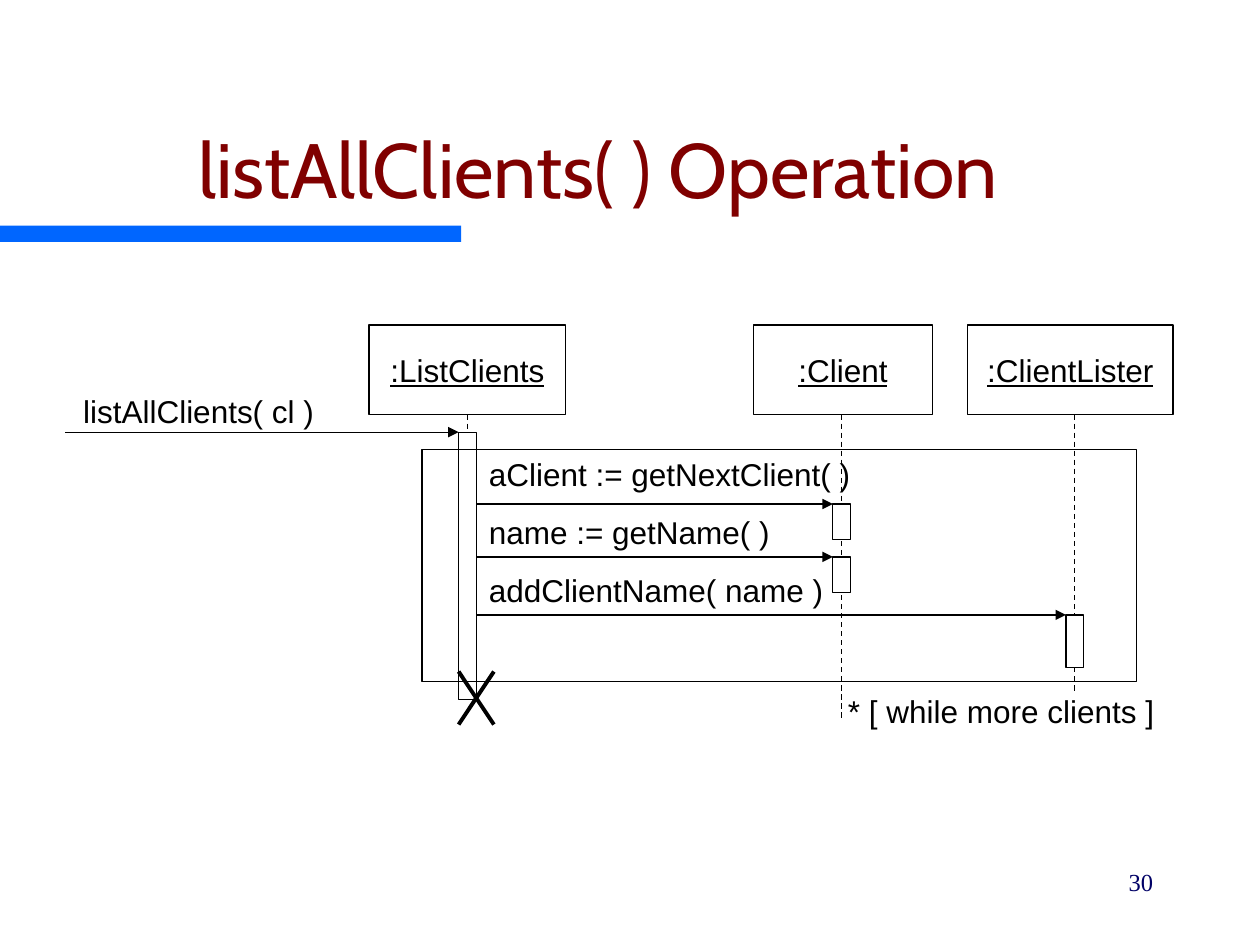
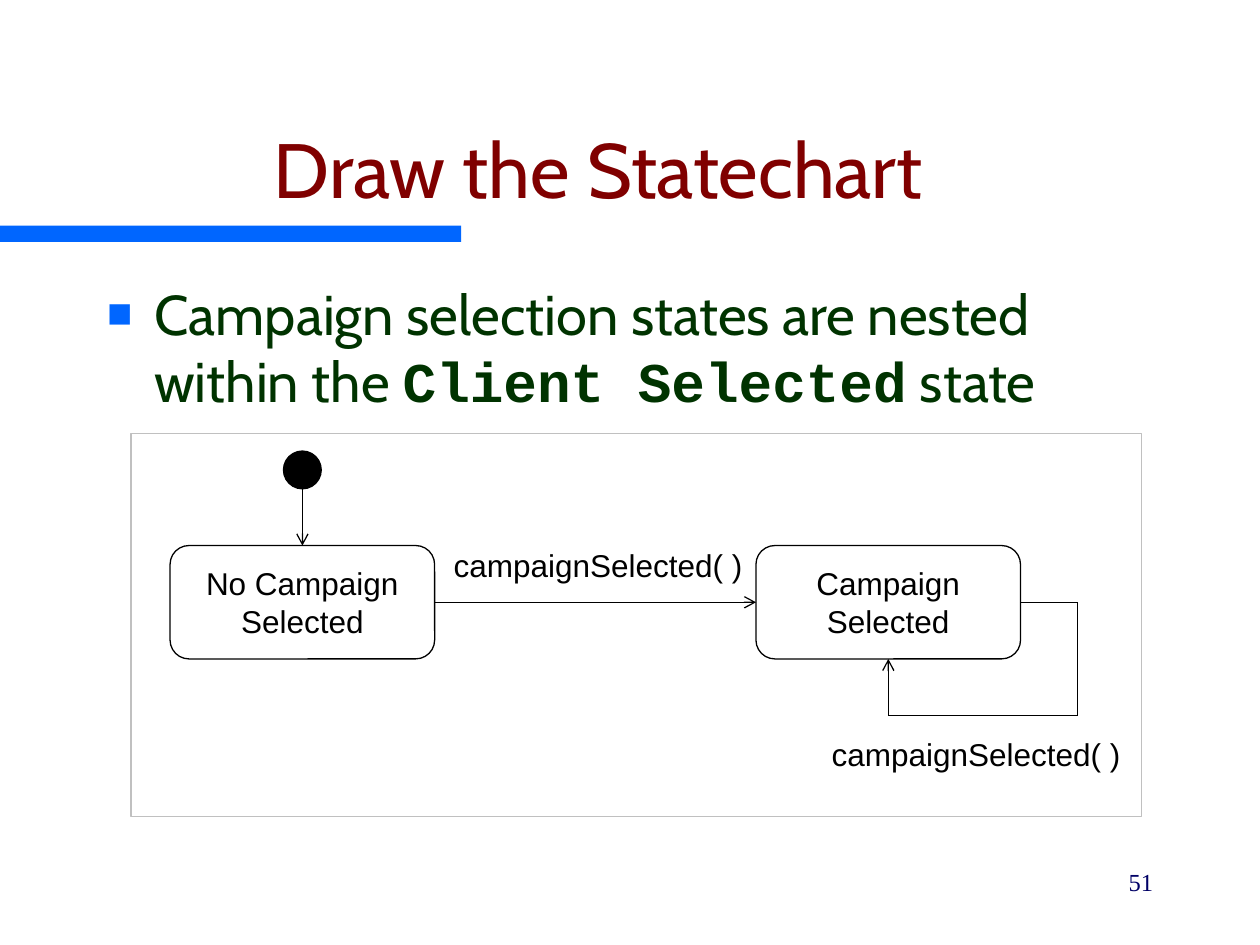
"""Build a sequence diagram slide and a statechart slide."""
from lxml import etree
from pptx import Presentation
from pptx import util as u
from pptx.dml.color import RGBColor
from pptx.enum import dml, shapes, text
from pptx.oxml.ns import qn

COLORS = {"title": "800000", "body": "003300", "accent": "0066FF", "number": "000066",
          "ink": "000000", "paper": "FFFFFF", "frame": "C0C0C0"}
RECT = shapes.MSO_SHAPE.RECTANGLE
ROUNDED = shapes.MSO_SHAPE.ROUNDED_RECTANGLE
CENTER = text.PP_ALIGN.CENTER


def add_box(page, kind, left, top, width, height, words="", fill=None, line="ink",
            underline=False):
    """Add a shape with centred text, or a tight label if kind is None."""
    place = [u.Inches(value) for value in (left, top, width, height)]
    if kind is None:
        box = page.shapes.add_textbox(*place)
    else:
        box = page.shapes.add_shape(kind, *place)
        box.shadow.inherit = False
        if line:
            box.line.color.rgb = RGBColor.from_string(COLORS[line])
            box.line.width = u.Pt(0.75)
        else:
            box.line.fill.background()
    if fill:
        box.fill.solid()
        box.fill.fore_color.rgb = RGBColor.from_string(COLORS[fill])
    else:
        box.fill.background()
    if words:
        frame = box.text_frame
        frame.word_wrap = False
        frame.text = words
        if kind is None:
            frame.auto_size = text.MSO_AUTO_SIZE.SHAPE_TO_FIT_TEXT
            frame.margin_left = frame.margin_right = frame.margin_top = frame.margin_bottom = 0
        else:
            frame.vertical_anchor = text.MSO_ANCHOR.MIDDLE
        for para in frame.paragraphs:
            para.alignment = text.PP_ALIGN.LEFT if kind is None else CENTER
            for span in para.runs:
                span.font.name = "Arial"
                span.font.size = u.Pt(18)
                span.font.underline = underline
                span.font.color.rgb = RGBColor.from_string(COLORS["ink"])
    return box


def add_line(page, start, end, arrow=None, dashed=False, weight=0.75):
    """Add a straight line, with an optional arrowhead at its end."""
    ends = [u.Inches(value) for value in (*start, *end)]
    link = page.shapes.add_connector(shapes.MSO_CONNECTOR.STRAIGHT, *ends)
    link.line.color.rgb = RGBColor.from_string(COLORS["ink"])
    link.line.width = u.Pt(weight)
    if dashed:
        link.line.dash_style = dml.MSO_LINE.DASH
    if arrow:
        etree.SubElement(link.line._get_or_add_ln(), qn("a:tailEnd"), type=arrow)
    etree.SubElement(link._element.spPr, qn("a:effectLst"))


deck = Presentation()
deck.slide_width = u.Inches(10)
deck.slide_height = u.Inches(7.5)

pages = []
for heading, number, layout in [("listAllClients( ) Operation", "30", 5),
                                ("Draw the Statechart", "51", 1)]:
    page = deck.slides.add_slide(deck.slide_layouts[layout])
    pages.append(page)
    add_box(page, RECT, 0, 1.79, 3.66, 0.13, fill="accent", line=None)

    title = page.shapes.title
    title.left, title.top = u.Inches(0.25), u.Inches(0.5)
    title.width, title.height = u.Inches(9), u.Inches(1.25)
    title.text_frame.text = heading
    title.text_frame.auto_size = text.MSO_AUTO_SIZE.NONE
    title.text_frame.vertical_anchor = text.MSO_ANCHOR.BOTTOM
    footer = page.shapes.add_textbox(u.Inches(7.17), u.Inches(6.83), u.Inches(2.08), u.Inches(0.5))
    footer.text_frame.word_wrap = True
    footer.text_frame.text = number
    for box, align, font, size, color in [
            (title, CENTER, "Cabin", 44, "title"),
            (footer, text.PP_ALIGN.RIGHT, "Times New Roman", 14, "number")]:
        para = box.text_frame.paragraphs[0]
        para.alignment = align
        span = para.runs[0]
        span.font.name = font
        span.font.size = u.Pt(size)
        span.font.color.rgb = RGBColor.from_string(COLORS[color])

sequence, statechart = pages

head_top, head_height = 2.58, 0.71
bar_width = 0.14
lister_x, client_x, view_x = 3.71, 6.68, 8.53
for name, x, left, width, life_end in [(":ListClients", lister_x, 2.93, 1.56, 4.97),
                                       (":Client", client_x, 5.98, 1.42, 5.7),
                                       (":ClientLister", view_x, 7.68, 1.63, 5.7)]:
    add_line(sequence, (x, head_top + head_height), (x, life_end), dashed=True)
    add_box(sequence, RECT, left, head_top, width, head_height, name, "paper", underline=True)

for x, top, height in [(lister_x, 3.43, 2.12), (client_x, 4, 0.28),
                       (client_x, 4.42, 0.28), (view_x, 4.88, 0.42)]:
    add_box(sequence, RECT, x - bar_width / 2, top, bar_width, height, fill="paper")

add_box(sequence, RECT, 3.35, 3.57, 5.67, 1.84)
for words, label_x, label_y, width, start_x, target_x, y in [
        ("listAllClients( cl )", 0.66, 3.11, 1.84, 0.52, lister_x, 3.43),
        ("aClient := getNextClient( )", 3.88, 3.61, 2.88, 3.78, client_x, 4),
        ("name := getName( )", 3.88, 4.07, 2.24, 3.78, client_x, 4.42),
        ("addClientName( name )", 3.88, 4.53, 2.66, 3.78, view_x, 4.88)]:
    add_line(sequence, (start_x, y), (target_x - bar_width / 2, y), "triangle")
    add_box(sequence, None, label_x, label_y, width, 0.3, words)
add_box(sequence, None, 6.73, 5.49, 2.44, 0.3, "* [ while more clients ]", "paper")

for start_x, end_x in [(3.64, 3.92), (3.92, 3.64)]:
    add_line(sequence, (start_x, 5.33), (end_x, 5.75), weight=2.25)

body = statechart.placeholders[1]
body.left, body.top = u.Inches(0.75), u.Inches(2.17)
body.width, body.height = u.Inches(8.5), u.Inches(4.5)
body.text_frame.auto_size = text.MSO_AUTO_SIZE.NONE
para = body.text_frame.paragraphs[0]
para.space_before = u.Pt(0)
bullet = para._p.get_or_add_pPr()
bullet_color = etree.SubElement(bullet, qn("a:buClr"))
etree.SubElement(bullet_color, qn("a:srgbClr"), val=COLORS["accent"])
etree.SubElement(bullet, qn("a:buSzPct"), val="75000")
etree.SubElement(bullet, qn("a:buFont"), typeface="Arial")
etree.SubElement(bullet, qn("a:buChar"), char="■")
for words, font, bold in [
        ("Campaign selection states are nested within the ", "Cabin", False),
        ("Client Selected", "Courier New", True),
        (" state", "Cabin", False)]:
    span = para.add_run()
    span.text = words
    span.font.name = font
    span.font.bold = bold
    span.font.size = u.Pt(32)
    span.font.color.rgb = RGBColor.from_string(COLORS["body"])

add_box(statechart, RECT, 1.04, 3.44, 8.02, 3.04, fill="paper", line="frame")
for words, left in [("No Campaign\nSelected", 1.35), ("Campaign\nSelected", 6)]:
    add_box(statechart, ROUNDED, left, 4.33, 2.1, 0.9, words, "paper")
add_box(statechart, shapes.MSO_SHAPE.OVAL, 2.25, 3.58, 0.3, 0.3, fill="ink")
add_line(statechart, (2.4, 3.88), (2.4, 4.33), "arrow")
add_line(statechart, (3.45, 4.78), (6, 4.78), "arrow")

loop = [(8.1, 4.78), (8.55, 4.78), (8.55, 5.68), (7.05, 5.68), (7.05, 5.23)]
for start, end in zip(loop, loop[1:]):
    add_line(statechart, start, end, "arrow" if end == loop[-1] else None)
for left, top in [(3.6, 4.33), (6.6, 5.83)]:
    add_box(statechart, None, left, top, 2.3, 0.3, "campaignSelected( )")

deck.save("out.pptx")
